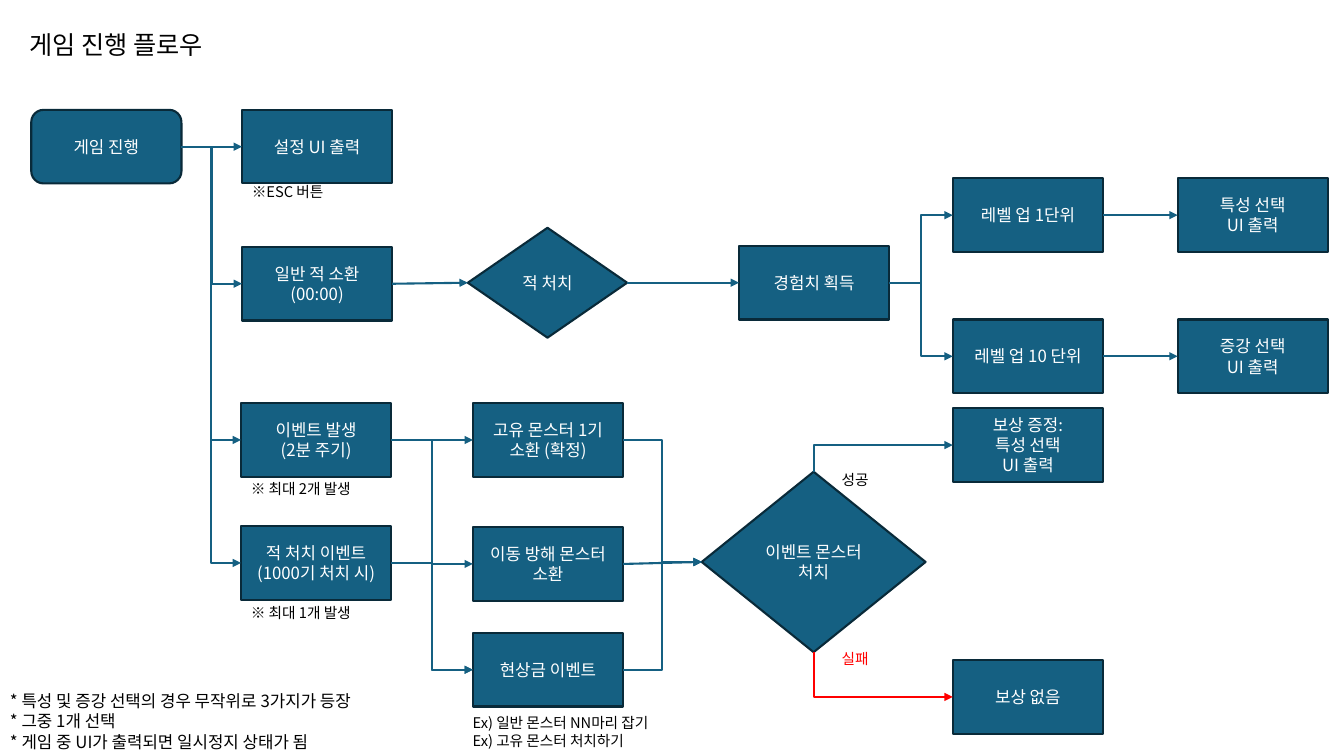
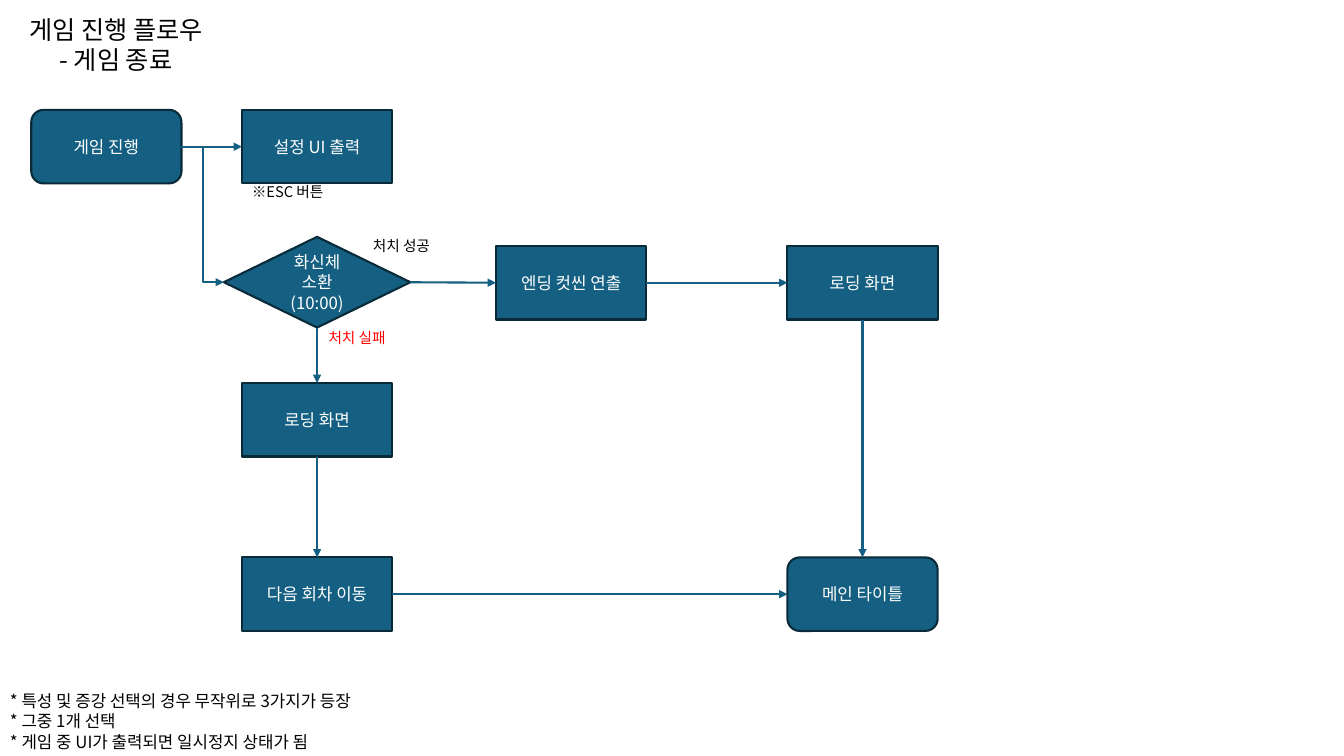
from dataclasses import dataclass

from lxml.etree import SubElement
from pptx import Presentation
from pptx.dml.color import RGBColor
from pptx.enum.shapes import MSO_CONNECTOR as Connector, MSO_SHAPE as Shape
from pptx.enum.text import MSO_ANCHOR as Anchor, PP_ALIGN as Align
from pptx.oxml.ns import qn
from pptx.util import Inches, Pt


@dataclass(frozen=True)
class Theme:
    font: str = "Noto Sans CJK KR"
    fill: RGBColor = RGBColor(0x15, 0x60, 0x82)
    outline: RGBColor = RGBColor(0x09, 0x2A, 0x39)
    light: RGBColor = RGBColor(0xFF, 0xFF, 0xFF)
    dark: RGBColor = RGBColor(0, 0, 0)
    fail: RGBColor = RGBColor(0xFF, 0, 0)
    title: float = 18
    body: float = 12
    note: float = 10.5
    line: float = 1.5


THEME = Theme()
STEP = (1.49, 0.73)
TOP, LEFT, BOTTOM, RIGHT = range(4)  # connection sites

# Content shared by both slides
RULES = "* 특성 및 증강 선택의 경우 무작위로 3가지가 등장\n* 그중 1개 선택\n* 게임 중 UI가 출력되면 일시정지 상태가 됨"
TITLE_AREA = (0, 0, 2.3, 0.88)
RULES_AREA = (0, 6.81, 4.25, 0.69)
COMMON_STEPS = {
    "play": ("게임 진행", 0.31, 1.09, Shape.ROUNDED_RECTANGLE),
    "settings": ("설정 UI 출력", 2.4, 1.09),
}
COMMON_LINKS = [("play", "settings")]
COMMON_NOTES = [("※ESC 버튼", 2.4, 1.81, 0.92, 0.18)]
LABEL = (1.32, 0.18)

# Steps: text, left, top, then shape, size and inset where they differ.
# Links: straight goes right or down, bent goes right in two turns,
# corners leave a decision at its top or bottom.
FLOWS = [
    {
        "title": "게임 진행 플로우",
        "steps": {
            "spawn": ("일반 적 소환\n(00:00)", 2.4, 2.45),
            "kill": ("적 처치", 4.64, 2.26, Shape.DIAMOND, (1.58, 1.09)),
            "exp": ("경험치 획득", 7.33, 2.44),
            "level1": ("레벨 업 1단위", 9.45, 1.77),
            "trait": ("특성 선택\nUI 출력", 11.68, 1.77),
            "level10": ("레벨 업 10 단위", 9.45, 3.17),
            "augment": ("증강 선택\nUI 출력", 11.68, 3.17),
            "event": ("이벤트 발생\n(2분 주기)", 2.39, 4),
            "kill_event": ("적 처치 이벤트\n(1000기 처치 시)", 2.39, 5.22),
            "unique": ("고유 몬스터 1기 소환 (확정)", 4.69, 4),
            "blocker": ("이동 방해 몬스터 소환", 4.69, 5.23),
            "bounty": ("현상금 이벤트", 4.69, 6.28),
            "event_kill": ("이벤트 몬스터\n처치", 6.96, 4.68, Shape.DIAMOND, (2.22, 1.79), 0),
            "reward": ("보상 증정:\n특성 선택\nUI 출력", 9.45, 4.05),
            "no_reward": ("보상 없음", 9.45, 6.55),
        },
        "straight": [("spawn", "kill"), ("kill", "exp"), ("level1", "trait"),
                     ("level10", "augment"), ("event", "unique"), ("blocker", "event_kill")],
        "down": [],
        "bent": [("play", "spawn"), ("play", "event"), ("play", "kill_event"),
                 ("exp", "level1"), ("exp", "level10"),
                 ("event", "blocker"), ("event", "bounty"), ("kill_event", "bounty"),
                 ("unique", "event_kill"), ("bounty", "event_kill")],
        "corners": [("event_kill", TOP, "reward", THEME.fill),
                    ("event_kill", BOTTOM, "no_reward", THEME.fail)],
        "notes": [
            ("※ 최대 2개 발생", 2.39, 4.76, *LABEL),
            ("※ 최대 1개 발생", 2.39, 5.99, *LABEL),
            ("Ex) 일반 몬스터 NN마리 잡기\nEx) 고유 몬스터 처치하기", 4.59, 7.04, 2.15, 0.44),
            ("성공", 8.25, 4.67, *LABEL),
            ("실패", 8.25, 6.44, *LABEL, THEME.fail),
        ],
    },
    {
        "title": "게임 진행 플로우\n- 게임 종료",
        "steps": {
            "boss": ("화신체 소환\n(10:00)", 2.22, 2.35, Shape.FLOWCHART_DECISION, (1.85, 0.9)),
            "ending": ("엔딩 컷씬 연출", 4.92, 2.44),
            "win_loading": ("로딩 화면", 7.81, 2.44),
            "fail_loading": ("로딩 화면", 2.4, 3.8),
            "next_round": ("다음 회차 이동", 2.4, 5.53),
            "main_title": ("메인 타이틀", 7.81, 5.53, Shape.ROUNDED_RECTANGLE),
        },
        "straight": [("boss", "ending"), ("ending", "win_loading"), ("next_round", "main_title")],
        "down": [("boss", "fail_loading"), ("fail_loading", "next_round"),
                 ("win_loading", "main_title")],
        "bent": [("play", "boss")],
        "corners": [],
        "notes": [
            ("처치 성공", 3.6, 2.35, *LABEL),
            ("처치 실패", 3.16, 3.26, *LABEL, THEME.fail),
        ],
    },
]


def write(frame, text, size, color, align):
    frame.word_wrap = True
    frame.vertical_anchor = Anchor.MIDDLE
    paragraph = frame.paragraphs[0]
    paragraph.alignment = align
    for index, line in enumerate(text.split("\n")):
        if index:
            paragraph.add_line_break()
        run = paragraph.add_run()
        run.text = line
        run.font.size = Pt(size)
        run.font.name = THEME.font
        run.font.color.rgb = color
        SubElement(run.font._element, qn("a:ea"), typeface=THEME.font)


def add_text(slide, text, area, size, color=THEME.dark, align=Align.LEFT):
    box = slide.shapes.add_textbox(*map(Inches, area))
    write(box.text_frame, text, size, color, align)


def add_step(slide, text, left, top, kind=Shape.RECTANGLE, size=STEP, inset=None):
    step = slide.shapes.add_shape(kind, *map(Inches, (left, top, *size)))
    step.shadow.inherit = False
    step.fill.solid()
    step.fill.fore_color.rgb = THEME.fill
    step.line.color.rgb = THEME.outline
    step.line.width = Pt(THEME.line)
    frame = step.text_frame
    if inset is not None:
        frame.margin_left = frame.margin_right = Inches(inset)
        frame.margin_top = frame.margin_bottom = Inches(inset)
    write(frame, text, THEME.body, THEME.light, Align.CENTER)
    return step


def add_link(slide, kind, begin, end, color=THEME.fill, arrow="a:tailEnd"):
    link = slide.shapes.add_connector(kind, 0, 0, 0, 0)
    link.begin_connect(*begin)
    link.end_connect(*end)
    link.line.color.rgb = color
    link.line.width = Pt(THEME.line)
    SubElement(link.line._get_or_add_ln(), qn(arrow), type="triangle")
    SubElement(link._element.spPr, qn("a:effectLst"))
    return link


def add_corner(slide, decision, site, target, color):
    # One turn: runs from the target back to the decision, arrow at its start
    link = add_link(slide, Connector.ELBOW, (target, LEFT), (decision, site), color, "a:headEnd")
    link._element.spPr.find(qn("a:prstGeom")).set("prst", "bentConnector2")


def build_flow(slide, flow):
    # Title and rules
    add_text(slide, flow["title"], TITLE_AREA, THEME.title, align=Align.CENTER)
    add_text(slide, RULES, RULES_AREA, THEME.body)

    # Steps
    steps = {key: add_step(slide, *step)
             for key, step in (COMMON_STEPS | flow["steps"]).items()}

    # Links
    routes = [
        (Connector.STRAIGHT, COMMON_LINKS + flow["straight"], RIGHT, LEFT),
        (Connector.STRAIGHT, flow["down"], BOTTOM, TOP),
        (Connector.ELBOW, flow["bent"], RIGHT, LEFT),
    ]
    for kind, pairs, leave, enter in routes:
        for source, target in pairs:
            add_link(slide, kind, (steps[source], leave), (steps[target], enter))
    for decision, site, target, color in flow["corners"]:
        add_corner(slide, steps[decision], site, steps[target], color)

    # Notes
    for text, left, top, width, height, *color in COMMON_NOTES + flow["notes"]:
        add_text(slide, text, (left, top, width, height), THEME.note, *color)


def main():
    deck = Presentation()
    deck.slide_width, deck.slide_height = Inches(13.33), Inches(7.5)
    for flow in FLOWS:
        build_flow(deck.slides.add_slide(deck.slide_layouts[6]), flow)
    deck.save("out.pptx")


if __name__ == "__main__":
    main()
